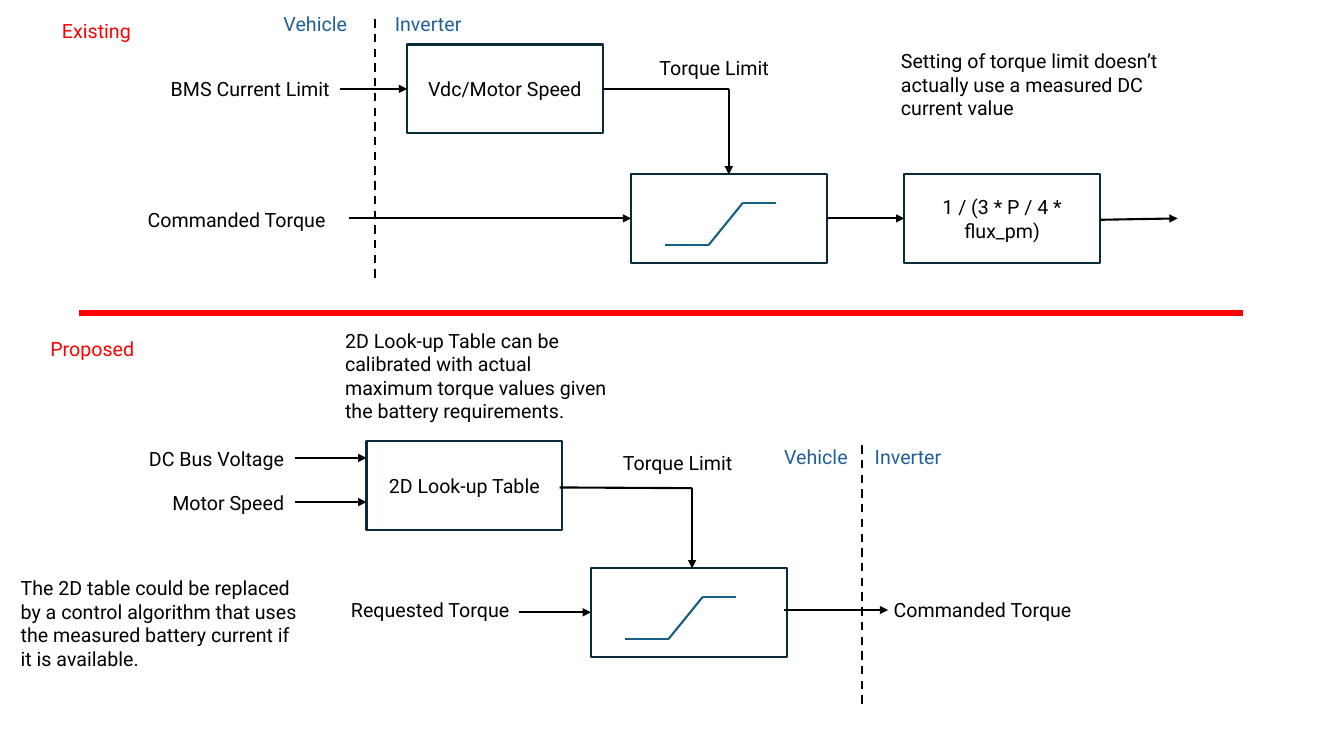
"""Builds the slide comparing the existing and proposed torque limit schemes."""
from itertools import pairwise

from lxml import etree
from pptx import Presentation
from pptx.dml.color import RGBColor
from pptx.enum.dml import MSO_LINE
from pptx.enum.shapes import MSO_CONNECTOR, MSO_SHAPE
from pptx.enum.text import MSO_ANCHOR, MSO_AUTO_SIZE, PP_ALIGN
from pptx.oxml.ns import qn
from pptx.util import Pt

LEFT, CENTER, RIGHT = PP_ALIGN.LEFT, PP_ALIGN.CENTER, PP_ALIGN.RIGHT
MIDDLE = MSO_ANCHOR.MIDDLE
FIT_SHAPE = MSO_AUTO_SIZE.SHAPE_TO_FIT_TEXT
RECTANGLE = MSO_SHAPE.RECTANGLE
STRAIGHT = MSO_CONNECTOR.STRAIGHT
DASH = MSO_LINE.DASH

COLORS = {
    "text": "000000",
    "signal": "000000",
    "paper": "FFFFFF",
    "outline": "092A39",
    "curve": "156082",
    "domain": "215F9A",
    "accent": "FF0000",
}
FONT, FONT_SIZE, LINE_WIDTH = "Roboto", 14, 1.5
BLOCK_WIDTH, BLOCK_HEIGHT = 139.75, 63.5
LABEL_WIDTH, TAG_WIDTH, NOTE_WIDTH = 173.5, 96, 213.1
LIMIT_CURVE = [(24.5, 50.4), (55.4, 50.4), (79.9, 20.2), (103.7, 20.2)]


def rgb(name):
    return RGBColor.from_string(COLORS[name])


class Diagram:
    def __init__(self, slide):
        self.shapes = slide.shapes

    def fill_text(self, frame, words, align, color="text"):
        frame.word_wrap = True
        paragraph = frame.paragraphs[0]
        paragraph.text = words
        paragraph.alignment = align
        paragraph.font.name = FONT
        paragraph.font.size = Pt(FONT_SIZE)
        paragraph.font.color.rgb = rgb(color)

    def text(self, words, left, top, width, height=24.25, align=LEFT, color="text"):
        box = self.shapes.add_textbox(Pt(left), Pt(top), Pt(width), Pt(height))
        self.fill_text(box.text_frame, words, align, color)
        box.text_frame.auto_size = FIT_SHAPE

    def label(self, words, left, top, align=RIGHT):
        self.text(words, left, top, LABEL_WIDTH, align=align)

    def tag(self, words, left, top, color):
        self.text(words, left, top, TAG_WIDTH, align=CENTER, color=color)

    def note(self, words, left, top, height):
        self.text(words, left, top, NOTE_WIDTH, height)

    def block(self, left, top, words=None, shapes=None):
        rect = (shapes or self.shapes).add_shape(
            RECTANGLE, Pt(left), Pt(top), Pt(BLOCK_WIDTH), Pt(BLOCK_HEIGHT))
        rect.shadow.inherit = False
        rect.fill.solid()
        rect.fill.fore_color.rgb = rgb("paper")
        rect.line.color.rgb = rgb("outline")
        rect.line.width = Pt(LINE_WIDTH)
        if words:
            rect.text_frame.vertical_anchor = MIDDLE
            self.fill_text(rect.text_frame, words, CENTER)

    def line(self, start, end, color="signal", width=LINE_WIDTH, dash=None,
             arrow=False, shapes=None):
        connector = (shapes or self.shapes).add_connector(
            STRAIGHT, *(Pt(value) for value in (*start, *end)))
        connector.line.color.rgb = rgb(color)
        connector.line.width = Pt(width)
        if dash:
            connector.line.dash_style = dash
        properties = connector._element.spPr
        if arrow:
            outline = properties.find(qn("a:ln"))
            etree.SubElement(outline, qn("a:tailEnd"), type="triangle")
        etree.SubElement(properties, qn("a:effectLst"))

    def arrow(self, start, end):
        self.line(start, end, arrow=True)

    def limiter(self, left, top):
        parts = self.shapes.add_group_shape().shapes
        self.block(left, top, shapes=parts)
        corners = [(left + x, top + y) for x, y in LIMIT_CURVE]
        for start, end in pairwise(corners):
            self.line(start, end, "curve", shapes=parts)

    def limit_signal(self, start, corner, end):
        self.line(start, corner)
        self.arrow(corner, end)

    def boundary(self, x, top, vehicle_left, inverter_left, tag_top):
        self.line((x, top), (x, top + 188.3), dash=DASH)
        self.tag("Vehicle", vehicle_left, tag_top, "domain")
        self.tag("Inverter", inverter_left, tag_top, "domain")


def draw_existing(diagram):
    diagram.tag("Existing", 20.9, 10.1, "accent")
    diagram.label("BMS Current Limit", 69.1, 51.7)
    diagram.label("Commanded Torque", 66.2, 145)
    diagram.block(290.8, 31.8, "Vdc/Motor Speed")
    diagram.arrow((242.6, 63.5), (290.8, 63.5))
    diagram.limiter(450.8, 124.6)
    diagram.limit_signal((430.6, 63.5), (520.6, 63.5), (520.6, 124.6))
    diagram.label("Torque Limit", 423.4, 36.7, CENTER)
    diagram.arrow((249, 156), (450.8, 156))
    diagram.block(646, 124.6, "1 / (3 * P / 4 * flux_pm)")
    diagram.arrow((590.5, 156), (646, 156))
    diagram.arrow((786, 157), (841.2, 156))
    diagram.boundary(267.9, 13.7, 177.2, 257.8, 5)
    diagram.note("Setting of torque limit doesn’t actually use a measured DC "
                 "current value", 636.5, 31.7, 58.2)


def draw_proposed(diagram):
    diagram.tag("Proposed", 17.9, 237, "accent")
    diagram.block(261.8, 314.9, "2D Look-up Table")
    for words, top, y in (("DC Bus Voltage", 316, 327.1),
                          ("Motor Speed", 346.9, 358.6)):
        diagram.label(words, 36.6, top)
        diagram.arrow((210.4, y), (261.8, y))
    diagram.limiter(422.2, 406)
    diagram.limit_signal((399.8, 348.2), (494.4, 348.7), (494.4, 406))
    diagram.label("Torque Limit", 397.3, 318.2, CENTER)
    diagram.label("Requested Torque", 197.4, 423.6)
    diagram.arrow((370.7, 437.4), (422.2, 437.4))
    diagram.arrow((560.2, 435.7), (634.4, 435.7))
    diagram.label("Commanded Torque", 599, 423.6)
    diagram.boundary(615.7, 318, 534.8, 600.6, 314.2)
    diagram.note("2D Look-up Table can be calibrated with actual maximum torque "
                 "values given the battery requirements.", 239.4, 231.3, 75.1)
    diagram.note("The 2D table could be replaced by a control algorithm that uses "
                 "the measured battery current if it is available.", 7.7, 408, 75.1)


def main():
    deck = Presentation()
    deck.slide_width, deck.slide_height = Pt(960), Pt(540)
    diagram = Diagram(deck.slides.add_slide(deck.slide_layouts[6]))
    draw_existing(diagram)
    diagram.line((56.6, 223.7), (887.8, 223.7), "accent", 4)
    draw_proposed(diagram)
    deck.save("out.pptx")


if __name__ == "__main__":
    main()
